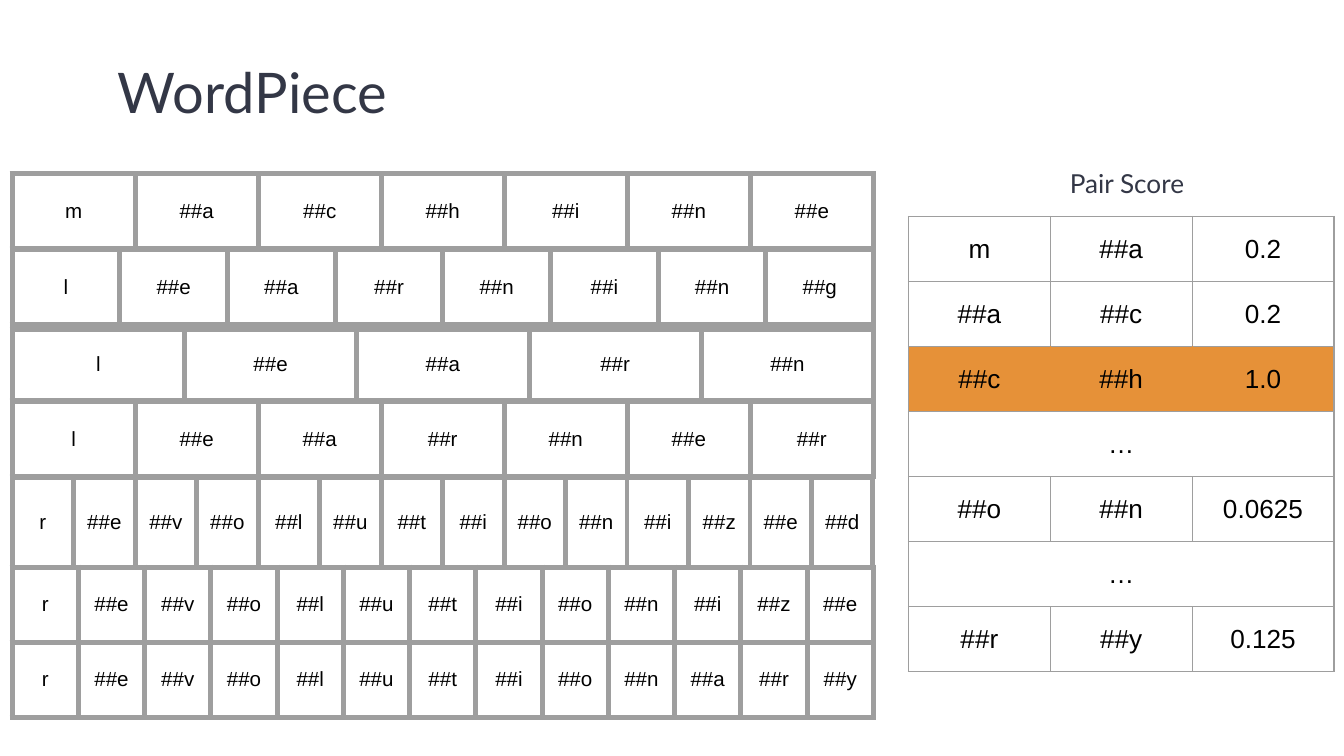
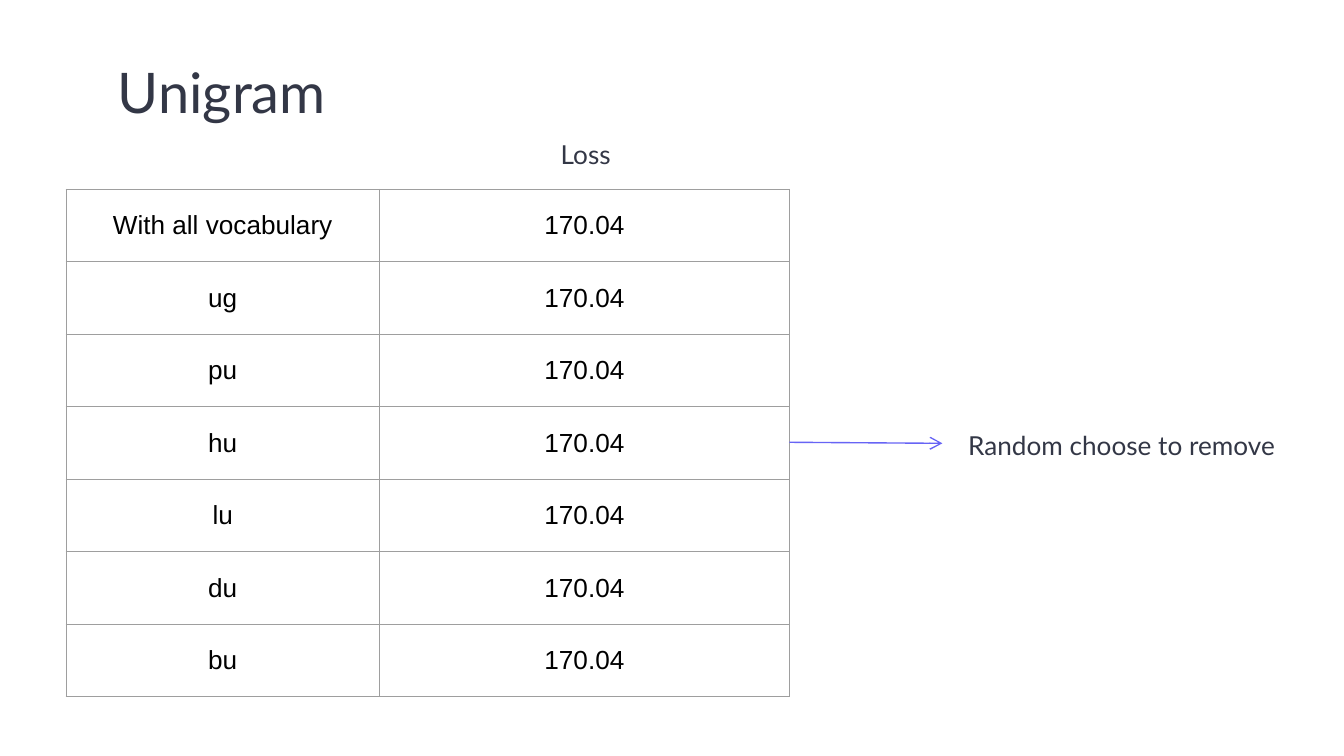
from dataclasses import dataclass

from lxml import etree
from pptx import Presentation
from pptx.dml.color import RGBColor
from pptx.enum.shapes import MSO_CONNECTOR
from pptx.enum.text import MSO_ANCHOR, PP_ALIGN
from pptx.oxml.ns import qn
from pptx.util import Cm, Pt

LEFT, CENTER = PP_ALIGN.LEFT, PP_ALIGN.CENTER
TOP, MIDDLE = MSO_ANCHOR.TOP, MSO_ANCHOR.MIDDLE
STRAIGHT = MSO_CONNECTOR.STRAIGHT


@dataclass(frozen=True)
class Theme:
    ink: str = "333746"
    cell_ink: str = "000000"
    border: str = "9E9E9E"
    highlight: str = "E69138"
    arrow: str = "6764F5"
    text_font: str = "Lato"
    cell_font: str = "Arial"
    title_size: int = 30
    text_size: int = 14
    token_size: int = 11
    thin: float = 0.75
    thick: float = 3
    inset: float = 0.25


theme = Theme()


def write(frame, text, size=theme.text_size, font=theme.text_font,
          color=theme.ink, align=CENTER, spacing=None):
    para = frame.paragraphs[0]
    para.alignment = align
    if spacing:
        para.line_spacing = spacing
    span = para.add_run()
    span.text = text
    span.font.size = Pt(size)
    span.font.name = font
    span.font.color.rgb = RGBColor.from_string(color)


def add_grid(page, rows, left, top, widths, row_height,
             size=theme.text_size, line=theme.thin, highlighted=None):
    """Add a bordered table; a row holding a single text spans all columns."""
    last = len(widths) - 1
    table = page.shapes.add_table(
        len(rows), len(widths), Cm(left), Cm(top),
        Cm(sum(widths)), Cm(row_height * len(rows))).table
    table.first_row = table.horz_banding = False
    for column, width in zip(table.columns, widths):
        column.width = Cm(width)
    for row_index, texts in enumerate(rows):
        table.rows[row_index].height = Cm(row_height)
        marked = row_index == highlighted
        if len(texts) < len(widths):
            table.cell(row_index, 0).merge(table.cell(row_index, last))
        for column_index in range(len(widths)):
            cell = table.cell(row_index, column_index)
            cell.vertical_anchor = MIDDLE
            cell.margin_left = cell.margin_right = Cm(theme.inset)
            cell.margin_top = cell.margin_bottom = Cm(theme.inset)
            properties = cell._tc.get_or_add_tcPr()
            for side in ("lnL", "lnR", "lnT", "lnB"):
                inner = (side == "lnL" and column_index > 0
                         or side == "lnR" and column_index < last)
                edge = etree.SubElement(properties, qn(f"a:{side}"), w=str(Pt(line)))
                fill = etree.SubElement(edge, qn("a:solidFill"))
                etree.SubElement(fill, qn("a:srgbClr"),
                                 val=theme.highlight if marked and inner else theme.border)
            if marked:
                cell.fill.solid()
                cell.fill.fore_color.rgb = RGBColor.from_string(theme.highlight)
            else:
                cell.fill.background()
            if column_index < len(texts):
                write(cell.text_frame, texts[column_index], size=size,
                      font=theme.cell_font, color=theme.cell_ink)


deck = Presentation()
deck.slide_width, deck.slide_height = Cm(25.4), Cm(14.29)
blank = deck.slide_layouts[6]
wordpiece_page = deck.slides.add_slide(blank)
unigram_page = deck.slides.add_slide(blank)

# Titles and labels
for page, title in ((wordpiece_page, "WordPiece"), (unigram_page, "Unigram")):
    labels = [(title, (1.98, 0.64, 21.08, 1.96), TOP, LEFT, theme.title_size)]
    if page is wordpiece_page:
        labels.append(("Pair Score", (18.8, 2.82, 5, 1.12), TOP, CENTER, theme.text_size))
    else:
        labels += [
            ("Loss", (9.04, 2.29, 4.06, 1.17), MIDDLE, CENTER, theme.text_size),
            ("Random choose to remove", (17.81, 6.65, 6.78, 3.43),
             MIDDLE, CENTER, theme.text_size),
        ]
    for text, place, anchor, align, size in labels:
        frame = page.shapes.add_textbox(*map(Cm, place)).text_frame
        frame.word_wrap = True
        frame.vertical_anchor = anchor
        frame.margin_left = frame.margin_right = Cm(theme.inset)
        frame.margin_top = frame.margin_bottom = Cm(theme.inset)
        write(frame, text, size=size, align=align, spacing=1.15)

# WordPiece: pair scores and one row of tokens per word
pair_scores = [
    ("m", "##a", "0.2"),
    ("##a", "##c", "0.2"),
    ("##c", "##h", "1.0"),
    ("…",),
    ("##o", "##n", "0.0625"),
    ("…",),
    ("##r", "##y", "0.125"),
]
add_grid(wordpiece_page, pair_scores, 17.17, 4.09, [2.68] * 3, 1.23, highlighted=2)

words = [
    ("machine", 3.28, 1.42),
    ("learning", 4.72, 1.42),
    ("learn", 6.22, 1.35),
    ("learner", 7.59, 1.42),
    ("revolutionized", 9.02, 1.7),
    ("revolutionize", 10.72, 1.42),
    ("revolutionary", 12.14, 1.42),
]
words_width = 16.28
for word, top, height in words:
    tokens = [word[0]] + [f"##{letter}" for letter in word[1:]]
    add_grid(wordpiece_page, [tokens], 0.23, top,
             [words_width / len(tokens)] * len(tokens), height,
             size=theme.token_size, line=theme.thick)

# Unigram: loss after removing each token
removed = ["With all vocabulary", "ug", "pu", "hu", "lu", "du", "bu"]
add_grid(unigram_page, [(token, "170.04") for token in removed],
         1.25, 3.58, [5.92, 7.75], 1.37)

arrow = unigram_page.shapes.add_connector(
    STRAIGHT, Cm(14.92), Cm(8.36), Cm(17.81), Cm(8.38))
arrow.line.color.rgb = RGBColor.from_string(theme.arrow)
arrow.line.width = Pt(theme.thin)
etree.SubElement(arrow.line._get_or_add_ln(), qn("a:tailEnd"), type="arrow")
etree.SubElement(arrow._element.spPr, qn("a:effectLst"))

deck.save("out.pptx")
